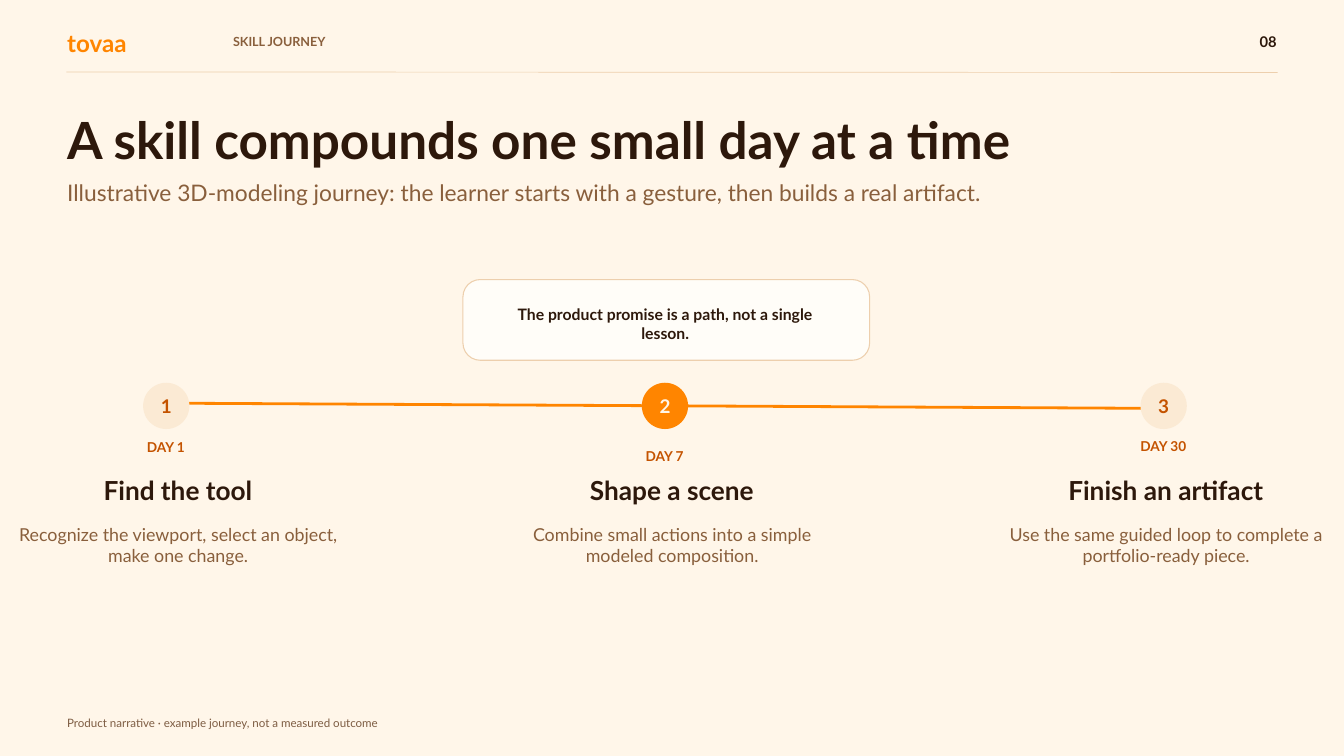
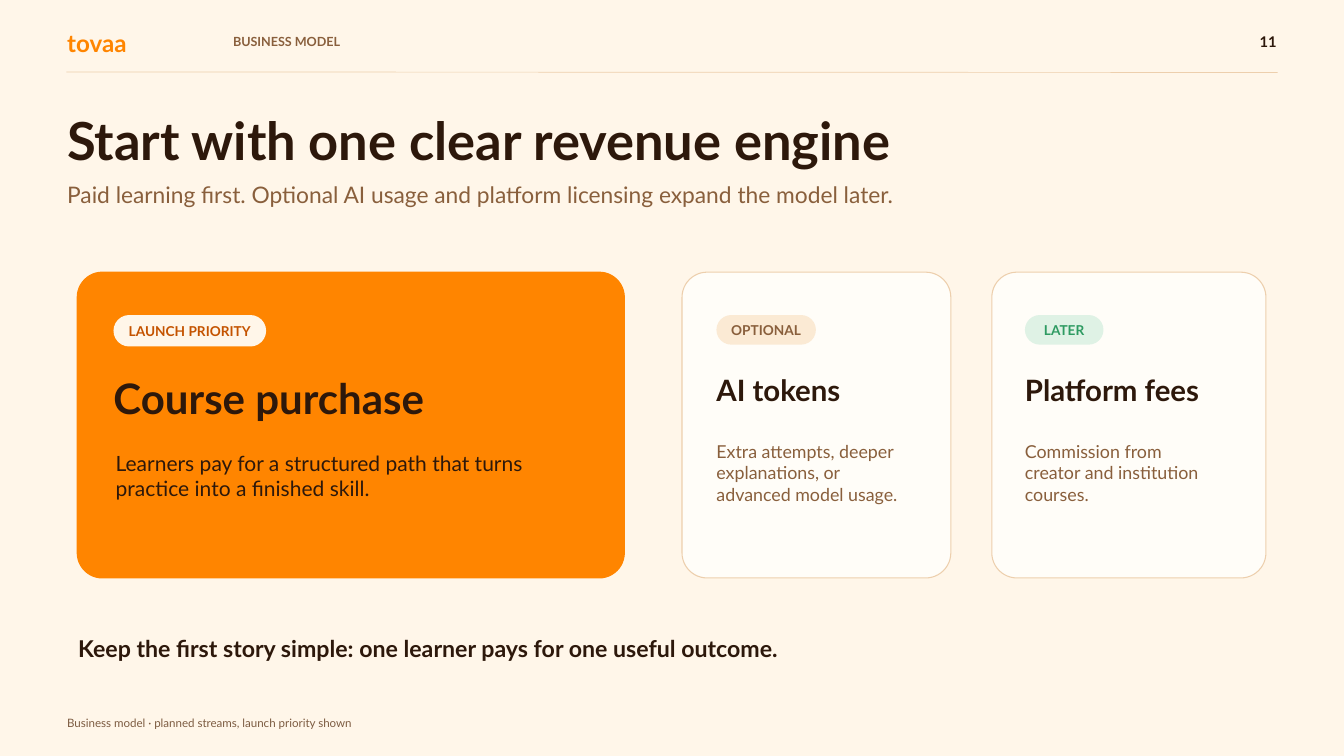
from dataclasses import dataclass, replace

from lxml import etree
from pptx import Presentation
from pptx.dml.color import RGBColor
from pptx.enum.shapes import MSO_CONNECTOR, MSO_SHAPE
from pptx.enum.text import MSO_ANCHOR as Anchor, MSO_AUTO_SIZE, PP_ALIGN as Align
from pptx.oxml.ns import qn
from pptx.util import Cm, Pt


@dataclass(frozen=True)
class TextStyle:
    size: float
    color: str
    bold: bool = False
    align: Align = Align.LEFT


@dataclass(frozen=True)
class Theme:
    font: str = "Lato"
    line_ratio: float = 1.2
    cream: str = "FFF6E9"
    paper: str = "FFFDF8"
    sand: str = "FBEAD4"
    border: str = "EDCFAD"
    orange: str = "FF8500"
    rust: str = "C45300"
    ink: str = "2D180B"
    brown: str = "895F3C"
    mint: str = "DFF2E5"
    green: str = "2E9B62"

    brand: TextStyle = TextStyle(25.9, orange, True)
    section: TextStyle = TextStyle(13.5, brown, True)
    number: TextStyle = TextStyle(15.8, ink, True, Align.RIGHT)
    title: TextStyle = TextStyle(56.2, ink, True)
    subtitle: TextStyle = TextStyle(24.4, brown)
    footer: TextStyle = TextStyle(12.4, "7D5C42")
    step: TextStyle = TextStyle(20.2, rust, True, Align.CENTER)
    label: TextStyle = TextStyle(14.6, rust, True, Align.CENTER)
    step_heading: TextStyle = TextStyle(28.1, ink, True, Align.CENTER)
    detail: TextStyle = TextStyle(19.1, brown)
    promise: TextStyle = TextStyle(16.9, ink, True, Align.CENTER)
    card_heading: TextStyle = TextStyle(31.5, ink, True)
    main_heading: TextStyle = TextStyle(45, ink, True)
    main_detail: TextStyle = TextStyle(22.5, ink)
    closing: TextStyle = TextStyle(24.8, ink, True)


THEME = Theme()


def rgb(color):
    return RGBColor.from_string(color)


def cm_box(box):
    return [Cm(length) for length in box]


def write(shape, text, style, anchor=Anchor.TOP, inset=0):
    frame = shape.text_frame
    frame.text = text
    frame.word_wrap = True
    frame.auto_size = MSO_AUTO_SIZE.NONE
    frame.vertical_anchor = anchor
    frame.margin_left = frame.margin_right = Cm(inset)
    frame.margin_top = frame.margin_bottom = Cm(inset)
    paragraph = frame.paragraphs[0]
    paragraph.alignment = style.align
    paragraph.line_spacing = Pt(round(style.size * THEME.line_ratio, 1))
    font = paragraph.runs[0].font
    font.name = THEME.font
    font.size = Pt(style.size)
    font.bold = style.bold
    font.color.rgb = rgb(style.color)


def add_text(slide, box, text, style):
    write(slide.shapes.add_textbox(*cm_box(box)), text, style)


def add_panel(slide, kind, box, fill, border=None, radius=None):
    """Add a filled shape; radius is the corner radius in centimetres."""
    shape = slide.shapes.add_shape(kind, *cm_box(box))
    shape.shadow.inherit = False
    shape.fill.solid()
    shape.fill.fore_color.rgb = rgb(fill)
    if border:
        shape.line.color.rgb = rgb(border)
        shape.line.width = Pt(1.13)
    else:
        shape.line.fill.background()
    if radius:
        shape.adjustments[0] = radius / min(box[2:])
    return shape


def add_card(slide, box, fill, border, radius):
    add_panel(slide, MSO_SHAPE.ROUNDED_RECTANGLE, box, fill, border, radius)


def add_badge(slide, kind, box, text, fill, style):
    radius = box[3] / 2 if kind == MSO_SHAPE.ROUNDED_RECTANGLE else None
    shape = add_panel(slide, kind, box, fill, radius=radius)
    write(shape, text, style, Anchor.MIDDLE, 0.15)


def add_line(slide, start, end, color, width):
    line = slide.shapes.add_connector(
        MSO_CONNECTOR.STRAIGHT, *cm_box(start), *cm_box(end))
    line.line.color.rgb = rgb(color)
    line.line.width = Pt(width)
    etree.SubElement(line._element.spPr, qn("a:effectLst"))


def add_title(slide, box, text, style):
    title = slide.shapes.title
    title.left, title.top, title.width, title.height = cm_box(box)
    write(title, text, style)


def add_base_slide(presentation, section, number, footer):
    slide = presentation.slides.add_slide(presentation.slide_layouts[5])
    add_text(slide, (2.54, 1.09, 5.16, 1.3), "tovaa", THEME.brand)
    add_text(slide, (8.81, 1.3, 16.66, 0.89), section, THEME.section)
    add_text(slide, (46.84, 1.22, 1.42, 0.97), number, THEME.number)
    add_line(slide, (2.51, 2.72), (48.29, 2.74), THEME.border, 0.75)
    add_text(slide, (2.54, 27.08, 36.53, 0.71), footer, THEME.footer)
    return slide


def add_step(slide, index, day, day_top, heading, detail):
    """Add one stop of the journey: numbered dot, day, heading and detail."""
    dot_shift, text_shift = 18.85 * index, 18.67 * index
    active = index == 1
    style = replace(THEME.step, color=THEME.cream) if active else THEME.step
    add_badge(slide, MSO_SHAPE.OVAL, (5.41 + dot_shift, 14.47, 1.75, 1.75),
              str(index + 1), THEME.orange if active else THEME.sand, style)
    add_text(slide, (3.3 + dot_shift, day_top, 5.94, 0.79), day, THEME.label)
    add_text(slide, (1.96 + text_shift, 17.92, 9.53, 1.37), heading,
             THEME.step_heading)
    add_text(slide, (0.18 + text_shift, 19.8, 13.11, 2.54), detail,
             replace(THEME.detail, align=Align.CENTER))


def build_journey(presentation):
    slide = add_base_slide(
        presentation, "SKILL JOURNEY", "08",
        "Product narrative · example journey, not a measured outcome")
    add_title(slide, (2.54, 4.11, 37.29, 2.31),
              "A skill compounds one small day at a time",
              replace(THEME.title, size=54.9))
    add_text(slide, (2.54, 6.76, 35.81, 1.04),
             "Illustrative 3D-modeling journey: the learner starts with a "
             "gesture, then builds a real artifact.", THEME.subtitle)
    add_line(slide, (6.17, 15.24), (44.07, 15.44), THEME.orange, 3)
    steps = [
        ("DAY 1", 16.61, "Find the tool",
         "Recognize the viewport, select an object, make one change."),
        ("DAY 7", 16.92, "Shape a scene",
         "Combine small actions into a simple modeled composition."),
        ("DAY 30", 16.54, "Finish an artifact",
         "Use the same guided loop to complete a portfolio-ready piece."),
    ]
    for index, step in enumerate(steps):
        add_step(slide, index, *step)
    add_card(slide, (17.5, 10.57, 15.37, 3.05), THEME.paper, THEME.border, 0.65)
    add_text(slide, (18.59, 11.51, 13.11, 1.14),
             "The product promise is a path, not a single lesson.",
             THEME.promise)


def add_side_stream(slide, left, width, inset, badge, heading, detail):
    """Add a pale revenue card; badge is its text, width, fill and text colour."""
    label, badge_width, fill, color = badge
    text_left = left + inset
    add_card(slide, (left, 10.29, width, 11.56), THEME.paper, THEME.border, 0.95)
    add_badge(slide, MSO_SHAPE.ROUNDED_RECTANGLE,
              (text_left, 11.91, badge_width, 1.12), label, fill,
              replace(THEME.label, color=color))
    add_text(slide, (text_left, 14.05, 7.54, 1.5), heading, THEME.card_heading)
    add_text(slide, (text_left, 16.66, 7.04, 2.84), detail, THEME.detail)


def add_main_stream(slide):
    add_card(slide, (2.92, 10.29, 20.68, 11.56), THEME.orange, THEME.orange, 0.95)
    add_badge(slide, MSO_SHAPE.ROUNDED_RECTANGLE, (4.29, 11.91, 5.77, 1.19),
              "LAUNCH PRIORITY", THEME.cream, THEME.label)
    add_text(slide, (4.29, 14.1, 14.27, 2.08), "Course purchase",
             THEME.main_heading)
    add_text(slide, (4.37, 17.04, 15.47, 2.49),
             "Learners pay for a structured path that turns practice into a "
             "finished skill.", THEME.main_detail)


def build_business_model(presentation):
    slide = add_base_slide(
        presentation, "BUSINESS MODEL", "11",
        "Business model · planned streams, launch priority shown")
    add_title(slide, (2.54, 4.09, 35.71, 3.28),
              "Start with one clear revenue engine", THEME.title)
    add_text(slide, (2.54, 6.83, 31.47, 1.04),
             "Paid learning first. Optional AI usage and platform licensing "
             "expand the model later.", THEME.subtitle)
    add_main_stream(slide)
    add_side_stream(slide, 25.78, 10.16, 1.3,
                    ("OPTIONAL", 3.76, THEME.sand, THEME.brown), "AI tokens",
                    "Extra attempts, deeper explanations, or advanced model usage.")
    add_side_stream(slide, 37.49, 10.36, 1.25,
                    ("LATER", 2.97, THEME.mint, THEME.green), "Platform fees",
                    "Commission from creator and institution courses.")
    add_text(slide, (2.95, 23.98, 30.18, 1.12),
             "Keep the first story simple: one learner pays for one useful "
             "outcome.", THEME.closing)


def main():
    presentation = Presentation()
    presentation.slide_width, presentation.slide_height = Cm(50.8), Cm(28.58)
    background = presentation.slide_master.background.fill
    background.solid()
    background.fore_color.rgb = rgb(THEME.cream)
    build_journey(presentation)
    build_business_model(presentation)
    presentation.save("out.pptx")


if __name__ == "__main__":
    main()
